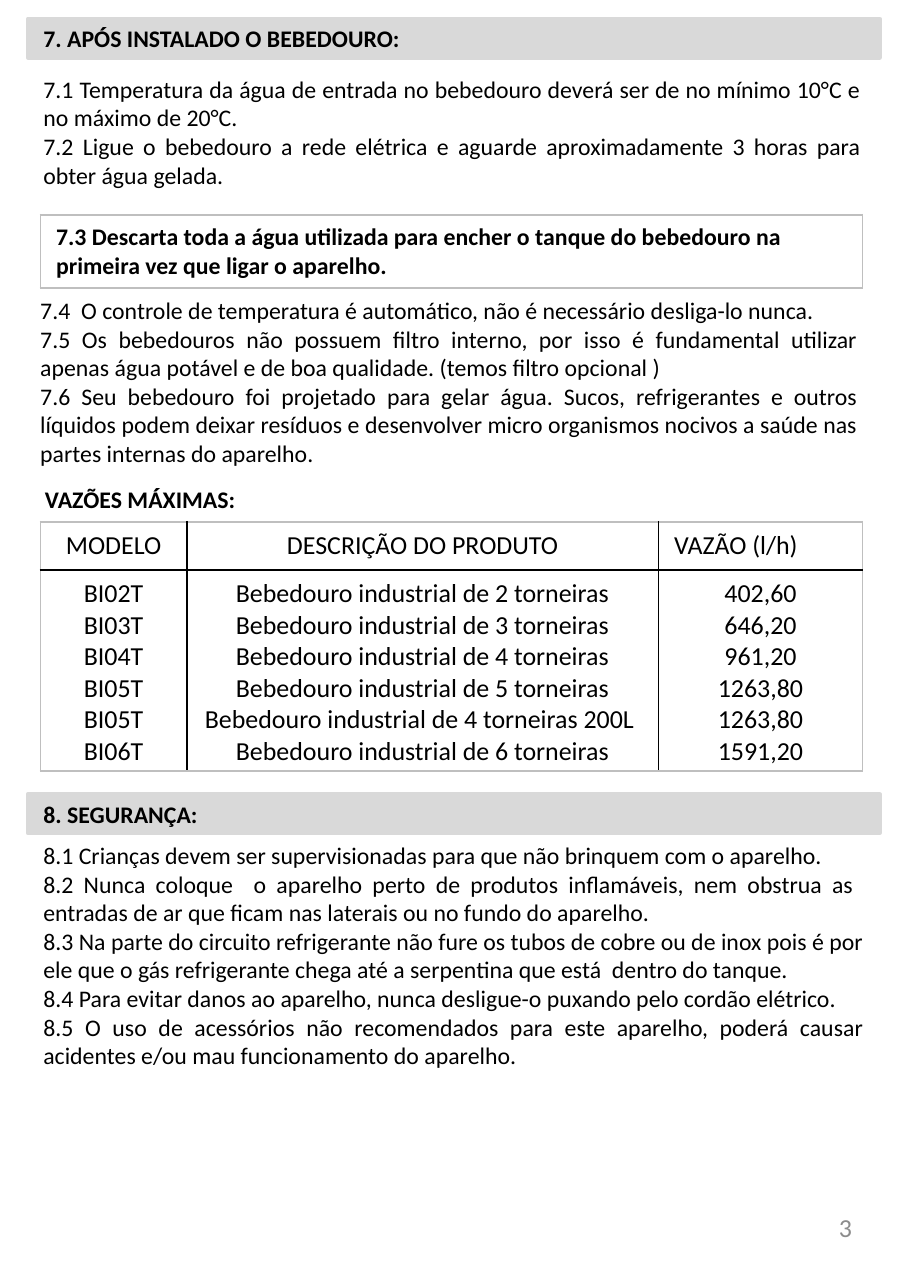
import dataclasses
import typing

import lxml.etree
import pptx
import pptx.dml.color
import pptx.enum.shapes
import pptx.enum.text
import pptx.oxml.ns
import pptx.util

PX = 9144
ALIGN = pptx.enum.text.PP_ALIGN
ANCHOR = pptx.enum.text.MSO_ANCHOR
COLORS = {"ink": "000000", "bar": "D9D9D9", "frame": "BFBFBF", "number": "8C8C8C"}
FRAME_FORMAT = {
    "word_wrap": True,
    "margin_left": 10 * PX,
    "margin_right": 10 * PX,
    "margin_top": 5 * PX,
    "margin_bottom": 5 * PX,
}


@dataclasses.dataclass
class Style:
    size: int = 11
    bold: bool = False
    color: str = "ink"
    align: typing.Any = ALIGN.LEFT
    anchor: typing.Any = ANCHOR.TOP


@dataclasses.dataclass
class Block:
    left: int
    top: int
    width: int
    height: int
    lines: list[str]
    style: Style


@dataclasses.dataclass
class Grid:
    left: int
    top: int
    widths: list[int]
    heights: list[int]
    cells: list[list[Block | tuple[list[str], Style]]]


BODY = Style(align=ALIGN.JUSTIFY)
STRONG = Style(bold=True)
HEADING = Style(bold=True, anchor=ANCHOR.MIDDLE)
CENTRED = Style(size=12, align=ALIGN.CENTER)
NUMBER = Style(12, False, "number", ALIGN.RIGHT, ANCHOR.MIDDLE)

FLOWS = [
    ("BI02T", "Bebedouro industrial de 2 torneiras", "402,60"),
    ("BI03T", "Bebedouro industrial de 3 torneiras", "646,20"),
    ("BI04T", "Bebedouro industrial de 4 torneiras", "961,20"),
    ("BI05T", "Bebedouro industrial de 5 torneiras", "1263,80"),
    ("BI05T", "Bebedouro industrial de 4 torneiras 200L ", "1263,80"),
    ("BI06T", "Bebedouro industrial de 6 torneiras", "1591,20"),
]

BARS = [
    Block(18, 12, 547, 25, ["7. APÓS INSTALADO O BEBEDOURO:"], HEADING),
    Block(18, 510, 547, 25, ["8. SEGURANÇA:"], HEADING),
]

TEXTS = [
    Block(18, 43, 545, 84, [
        "7.1 Temperatura da água de entrada no bebedouro deverá ser de no mínimo 10°C e no máximo de 20°C.",
        "7.2 Ligue o bebedouro a rede elétrica e aguarde aproximadamente 3 horas para obter água gelada.",
    ], BODY),
    Block(16, 185, 545, 120, [
        "7.4  O controle de temperatura é automático, não é necessário desliga-lo nunca.",
        "7.5 Os bebedouros não possuem filtro interno, por isso é fundamental utilizar apenas água "
        "potável e de boa qualidade. (temos filtro opcional )",
        "7.6 Seu bebedouro foi projetado para gelar água. Sucos, refrigerantes e outros líquidos podem "
        "deixar resíduos e desenvolver micro organismos nocivos a saúde nas partes internas do aparelho.",
    ], BODY),
    Block(19, 306, 539, 29, ["VAZÕES MÁXIMAS:"], STRONG),
    Block(18, 535, 547, 158, [
        "8.1 Crianças devem ser supervisionadas para que não brinquem com o aparelho.",
        "8.2 Nunca coloque  o aparelho perto de produtos inflamáveis, nem obstrua as  entradas de ar "
        "que ficam nas laterais ou no fundo do aparelho. ",
        "8.3 Na parte do circuito refrigerante não fure os tubos de cobre ou de inox pois é por ele "
        "que o gás refrigerante chega até a serpentina que está  dentro do tanque.",
        "8.4 Para evitar danos ao aparelho, nunca desligue-o puxando pelo cordão elétrico.",
        "8.5 O uso de acessórios não recomendados para este aparelho, poderá causar acidentes e/ou "
        "mau funcionamento do aparelho.",
    ], BODY),
    Block(420, 766, 137, 44, ["3"], NUMBER),
]

GRIDS = [
    Grid(26, 138, [528], [47], [[([
        "7.3 Descarta toda a água utilizada para encher o tanque do bebedouro na primeira vez que "
        "ligar o aparelho."], STRONG)]]),
    Grid(26, 335, [94, 303, 131], [31, 129], [
        [(["MODELO"], CENTRED), (["DESCRIÇÃO DO PRODUTO"], CENTRED), (["VAZÃO (l/h)"], Style(size=12))],
        [(list(column), CENTRED) for column in zip(*FLOWS)],
    ]),
]


def rgb(name: str) -> pptx.dml.color.RGBColor:
    return pptx.dml.color.RGBColor.from_string(COLORS[name])


def apply(target: typing.Any, values: dict[str, typing.Any]) -> None:
    for name, value in values.items():
        setattr(target, name, value)


def write(frame: typing.Any, lines: list[str], style: Style) -> None:
    for index, line in enumerate(lines):
        para = frame.add_paragraph() if index else frame.paragraphs[0]
        para.alignment = style.align
        span = para.add_run()
        span.text = line
        apply(span.font, {"name": "Calibri", "size": pptx.util.Pt(style.size), "bold": style.bold})
        span.font.color.rgb = rgb(style.color)


def place(block: Block) -> list[int]:
    return [length * PX for length in (block.left, block.top, block.width, block.height)]


def fill_frame(frame: typing.Any, block: Block) -> None:
    apply(frame, FRAME_FORMAT | {"vertical_anchor": block.style.anchor})
    write(frame, block.lines, block.style)


def draw_bar(page: typing.Any, block: Block) -> None:
    bar = page.shapes.add_shape(pptx.enum.shapes.MSO_SHAPE.RECTANGLE, *place(block))
    bar.shadow.inherit = False
    bar.fill.solid()
    bar.fill.fore_color.rgb = rgb("bar")
    bar.line.color.rgb = rgb("bar")
    bar.line.width = pptx.util.Pt(2)
    fill_frame(bar.text_frame, block)


def draw_text(page: typing.Any, block: Block) -> None:
    fill_frame(page.shapes.add_textbox(*place(block)).text_frame, block)


def add_border(cell: typing.Any, side: str, color: str) -> None:
    qn = pptx.oxml.ns.qn
    properties = cell._tc.get_or_add_tcPr()
    line = lxml.etree.SubElement(properties, qn(f"a:ln{side}"), w=str(pptx.util.Pt(1)))
    fill = lxml.etree.SubElement(line, qn("a:solidFill"))
    lxml.etree.SubElement(fill, qn("a:srgbClr"), val=COLORS[color])


def draw_grid(page: typing.Any, grid: Grid) -> None:
    rows, columns = len(grid.heights), len(grid.widths)
    size = [grid.left, grid.top, sum(grid.widths), sum(grid.heights)]
    table = page.shapes.add_table(rows, columns, *[length * PX for length in size]).table
    apply(table, {"first_row": False, "horz_banding": False})
    for column, width in zip(table.columns, grid.widths):
        column.width = width * PX
    for row, height in zip(table.rows, grid.heights):
        row.height = height * PX
    for row, entries in enumerate(grid.cells):
        for column, (lines, style) in enumerate(entries):
            cell = table.cell(row, column)
            cell.margin_bottom = 2 * PX
            write(cell.text_frame, lines, style)
            outer = {"L": column == 0, "R": column == columns - 1, "T": row == 0, "B": row == rows - 1}
            for side, at_edge in outer.items():
                add_border(cell, side, "frame" if at_edge else "ink")
            cell.fill.background()


def main() -> None:
    deck = pptx.Presentation()
    apply(deck, {"slide_width": 587 * PX, "slide_height": 827 * PX})
    page = deck.slides.add_slide(deck.slide_layouts[6])
    for bar in BARS:
        draw_bar(page, bar)
    for text in TEXTS:
        draw_text(page, text)
    for grid in GRIDS:
        draw_grid(page, grid)
    deck.save("out.pptx")


if __name__ == "__main__":
    main()
